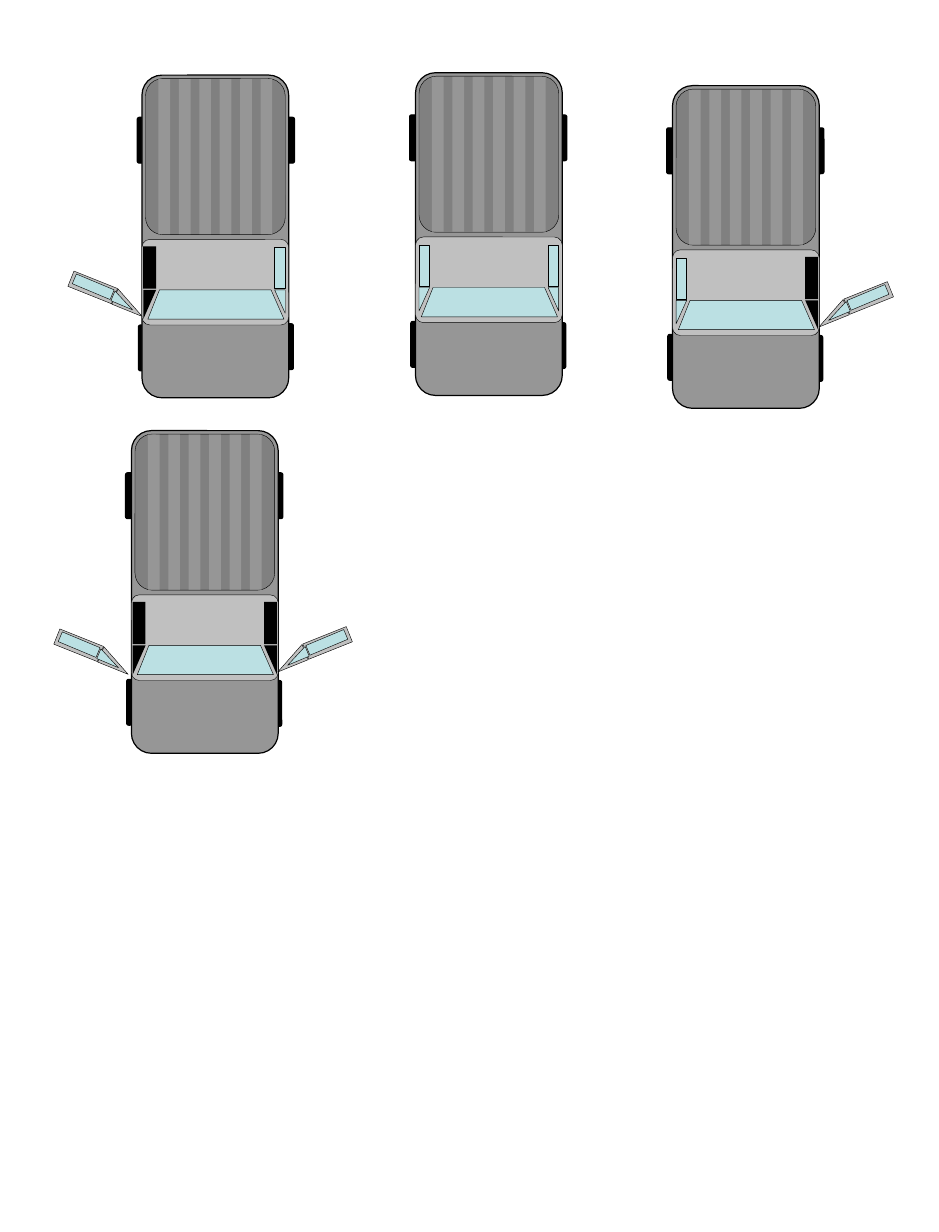
"""Draw four pickup trucks from above with different doors open."""
from collections import namedtuple

from pptx import Presentation
from pptx.dml.color import RGBColor as Rgb
from pptx.enum.shapes import MSO_SHAPE as Shape
from pptx.util import Inches, Pt

Theme = namedtuple("Theme", "black body cab bed glass thick thin")
Truck = namedtuple("Truck", "left top mirrored near_open far_open far_shift")

theme = Theme(
    black=Rgb.from_string("000000"),
    body=Rgb.from_string("969696"),
    cab=Rgb.from_string("C0C0C0"),
    bed=Rgb.from_string("808080"),
    glass=Rgb.from_string("BBE0E3"),
    thick=Pt(0.75),
    thin=Pt(0.25),
)

deck = Presentation()
deck.slide_width, deck.slide_height = Inches(8), Inches(10.5)
page = deck.slides.add_slide(deck.slide_layouts[6])
cell = deck.slide_width // 800
truck_width = 125


def paint(shape, fill, line):
    """Give a shape a plain fill and an optional black outline."""
    shape.shadow.inherit = False
    shape.fill.solid()
    shape.fill.fore_color.rgb = fill
    if line:
        shape.line.color.rgb = theme.black
        shape.line.width = line
    else:
        shape.line.fill.background()


def add_part(group, truck, kind, place, fill, line=None, angle=0, corner=None,
             far=False, shift=(0, 0)):
    """Add one truck part, reflected across the truck's axis when needed."""
    x, y, width, height = place
    reflected = truck.mirrored != far
    if reflected:
        x, angle = truck_width - x - width, -angle % 360
    box = group.shapes.add_shape(
        kind, round((truck.left + x + shift[0]) * cell),
        round((truck.top + y + shift[1]) * cell), width * cell, height * cell)
    box.rotation = angle
    if corner:
        box.adjustments[0] = corner
    if reflected:
        box._element.spPr.xfrm.set("flipH", "1")
    paint(box, fill, line)


trucks = [
    Truck(112, 367, False, True, True, (-3, 2)),
    Truck(121, 64, True, True, False, (0, 0)),
    Truck(354, 62, False, False, False, (0, 0)),
    Truck(573, 73, False, True, False, (0, 0)),
]
wheels = [(119, 36), (-4, 212), (118, 213), (-5, 36)]
open_door = [
    (Shape.RECTANGLE, (160, 161, 14, 40), theme.cab, 68.2),
    (Shape.RIGHT_TRIANGLE, (128, 180, 14, 28), theme.cab, 248),
    (Shape.RECTANGLE, (162, 163, 9, 35), theme.glass, 67.2),
    (Shape.RIGHT_TRIANGLE, (136, 182, 9, 20), theme.glass, 247.2),
]
closed_door = [
    (Shape.RECTANGLE, (113, 147, 9, 35), theme.glass, 0),
    (Shape.RIGHT_TRIANGLE, (113, 183, 9, 20), theme.glass, 180),
]
doorway = [
    (Shape.RECTANGLE, (113, 146, 11, 36), 0),
    (Shape.RIGHT_TRIANGLE, (113, 183, 11, 25), 180),
]

for truck in trucks:
    group = page.shapes.add_group_shape()
    sides = [(False, truck.near_open, (0, 0)),
             (True, truck.far_open, truck.far_shift)]

    for x, y in wheels:
        add_part(group, truck, Shape.ROUNDED_RECTANGLE, (x, y, 10, 39),
                 theme.black, theme.thick, corner=0.167)
    add_part(group, truck, Shape.ROUNDED_RECTANGLE, (0, 0, truck_width, 275),
             theme.body, theme.thick, corner=0.136)
    add_part(group, truck, Shape.ROUNDED_RECTANGLE, (0, 140, truck_width, 73),
             theme.cab, theme.thin, corner=0.092)

    left, top = truck.left + 5, truck.top + 183
    outline = group.shapes.build_freeform(left, top + 25, scale=cell)
    outline.add_line_segments(
        [(left + 10, top), (left + 105, top), (left + 116, top + 25)])
    paint(outline.convert_to_shape(), theme.glass, theme.thin)

    for far, is_open, shift in sides:
        for kind, place, fill, angle in open_door if is_open else closed_door:
            add_part(group, truck, kind, place, fill, theme.thin, angle,
                     far=far, shift=shift)

    add_part(group, truck, Shape.ROUNDED_RECTANGLE, (3, 3, 119, 133),
             theme.bed, theme.thin, corner=0.123)
    for stripe in range(6):
        add_part(group, truck, Shape.RECTANGLE,
                 (14 + stripe * 17.4, 3.5, 10, 132), theme.body)

    for far, is_open, shift in sides:
        if is_open:
            for kind, place, angle in doorway:
                add_part(group, truck, kind, place, theme.black, angle=angle,
                         far=far)

deck.save("out.pptx")
